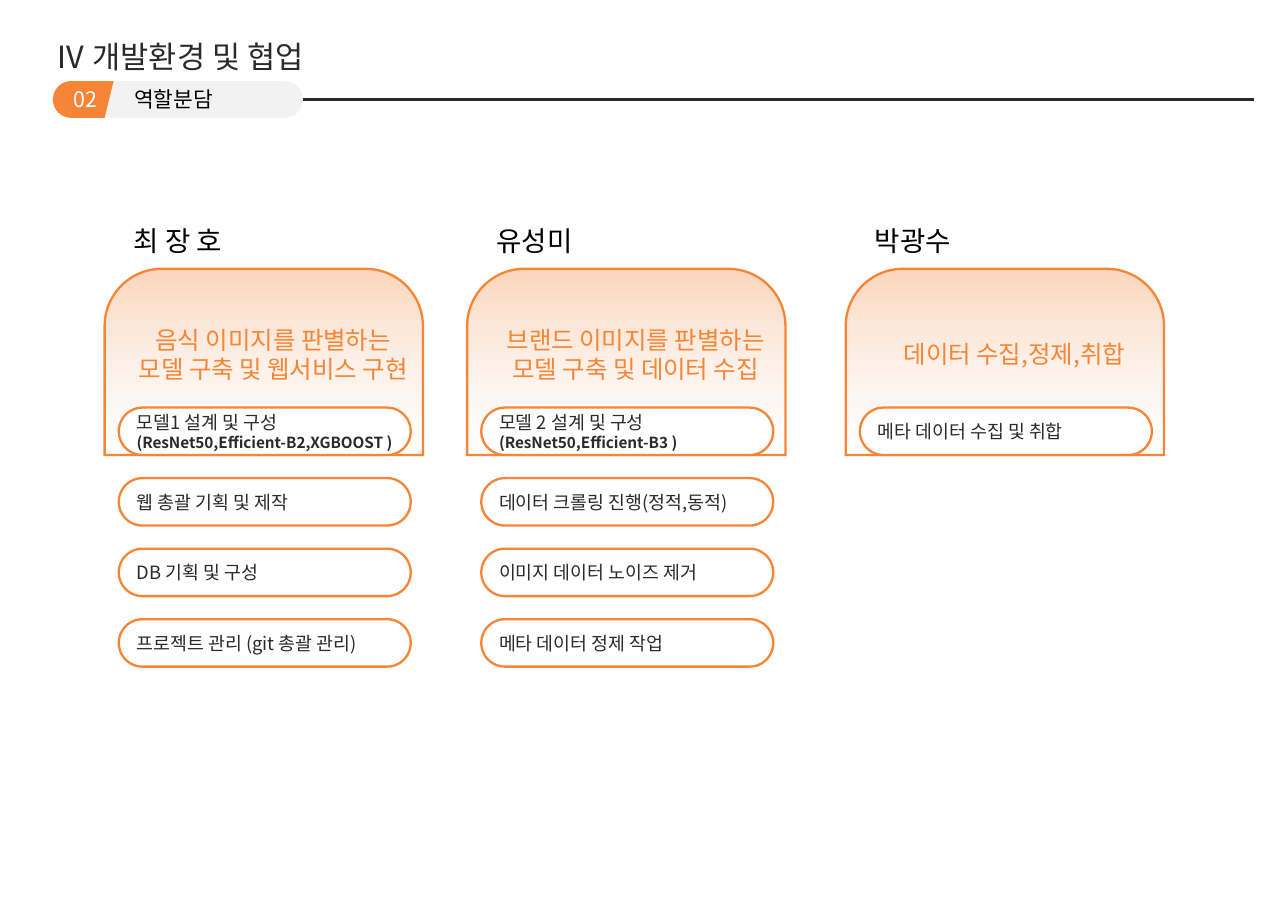
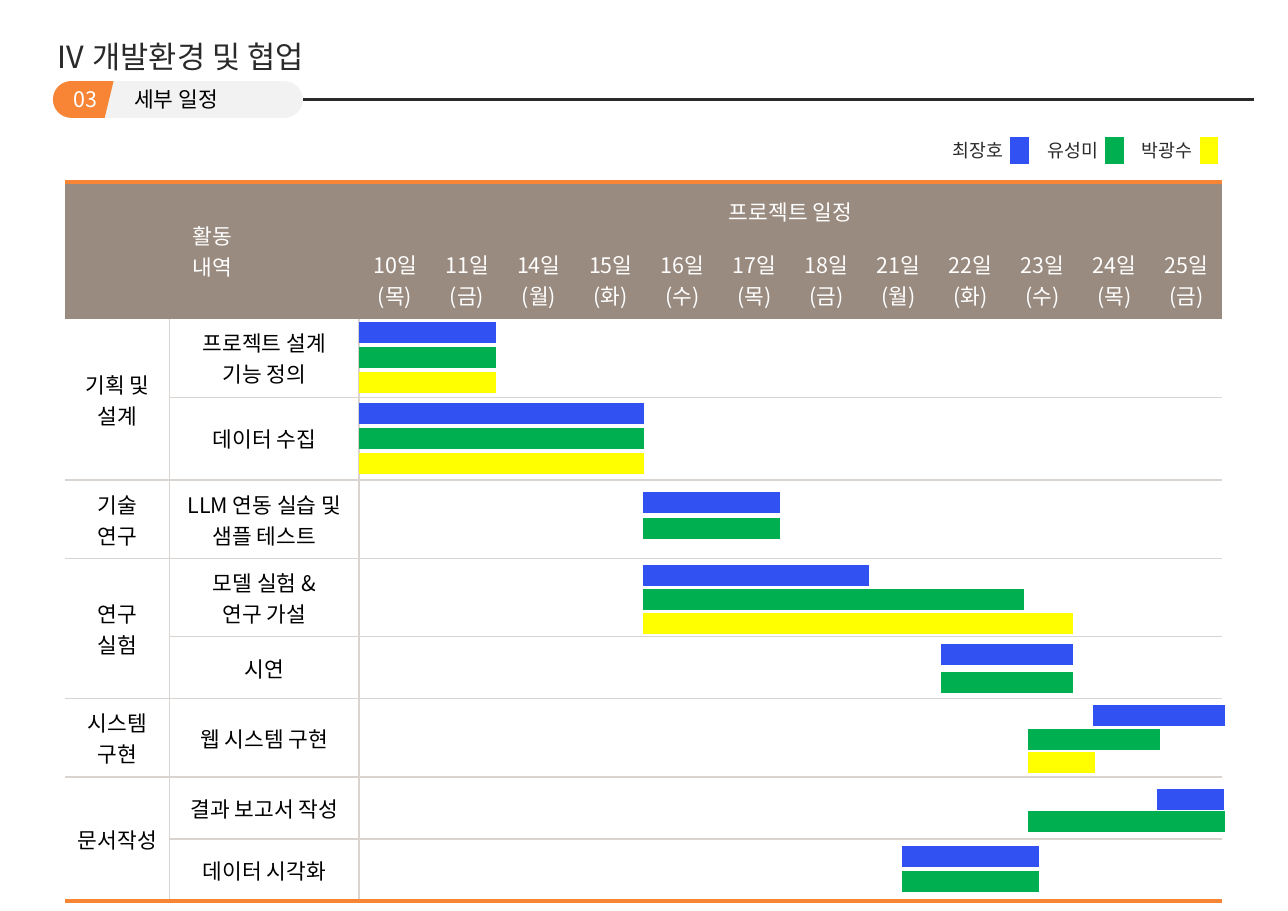
from dataclasses import dataclass
from math import cos, pi, sin

from lxml.etree import SubElement
from pptx import Presentation
from pptx.dml.color import RGBColor as RGB
from pptx.enum.shapes import MSO_CONNECTOR as Connector, MSO_SHAPE as Preset
from pptx.enum.text import MSO_ANCHOR as Anchor, MSO_AUTO_SIZE as AutoSize, PP_ALIGN as Align
from pptx.oxml.ns import qn
from pptx.util import Pt


@dataclass(frozen=True)
class Theme:
    font: str = "Noto Sans CJK KR"
    orange: str = "F78535"
    peach: str = "FCD6BC"
    white: str = "FFFFFF"
    black: str = "000000"
    ink: str = "2A2A2A"
    band: str = "F2F2F2"
    header: str = "9A8B80"
    grid: str = "DAD4D0"
    title: float = 20
    name: float = 18
    role: float = 16
    body: float = 14
    small: float = 12
    note: float = 10
    thin: float = 1
    outline: float = 1.5
    thick: float = 3


THEME = Theme()
PAGE = (841.7, 595.4)
NO_TABLE_STYLE = "{2D5ABB26-0587-4C30-8999-92F81FD0307C}"

# Roles: left edge, name, role lines, tasks (each a list of lines)
MEMBERS = [
    (68.4, "최 장 호", ["음식 이미지를 판별하는", "모델 구축 및 웹서비스 구현"],
     [["모델1 설계 및 구성", "(ResNet50,Efficient-B2,XGBOOST )"], ["웹 총괄 기획 및 제작"],
      ["DB 기획 및 구성"], ["프로젝트 관리 (git 총괄 관리)"]]),
    (305.3, "유성미", ["브랜드 이미지를 판별하는", "모델 구축 및 데이터 수집"],
     [["모델 2 설계 및 구성", "(ResNet50,Efficient-B3 )"], ["데이터 크롤링 진행(정적,동적)"],
      ["이미지 데이터 노이즈 제거"], ["메타 데이터 정제 작업"]]),
    (552.7, "박광수", ["데이터 수집,정제,취합"], [["메타 데이터 수집 및 취합"]]),
]

# Schedule
OWNERS = [("최장호", "3151F3"), ("유성미", "00B050"), ("박광수", "FFFF00")]
DAYS = ["10일(목)", "11일(금)", "14일(월)", "15일(화)", "16일(수)", "17일(목)",
        "18일(금)", "21일(월)", "22일(화)", "23일(수)", "24일(목)", "25일(금)"]
PHASES = [
    (["기획 및 설계"], [["프로젝트 설계", "기능 정의"], ["데이터 수집"]]),
    (["기술 연구"], [["LLM 연동 실습 및 샘플 테스트"]]),
    (["연구 실험"], [["모델 실험 &", "연구 가설"], ["시연"]]),
    (["시스템", "구현"], [["웹 시스템 구현"]]),
    (["문서작성"], [["결과 보고서 작성"], ["데이터 시각화"]]),
]
COLUMNS = [68.4, 123.8] + [47] * len(DAYS)
HEADER_ROWS = [38.4, 51.2]
TASK_ROWS = [51.2, 54.2, 51.2, 51.2, 40.5, 51.2, 40.5, 40.5]
# Per task: first bar offset, bar pitch, then (start, width) in owner order
BARS = [
    (2.6, 16.5, [(0.7, 87.8)] * 3),
    (4.6, 16.3, [(0.7, 185)] * 3),
    (8.8, 16.5, [(186.5, 87.8)] * 2),
    (5.1, 15.8, [(186.5, 146.2), (186.5, 247), (186.5, 279.4)]),
    (5.7, 18, [(380.9, 85)] * 2),
    (4.8, 15.5, [(480.3, 85), (437.8, 85), (437.8, 42.5)]),
    (8.3, 14.4, [(522, 42.5), (437.8, 127.4)]),
    (5.3, 16.5, [(355.7, 87.8)] * 2),
]


def points(*values):
    return [Pt(value) for value in values]


def write_text(frame, lines, size, color, align=Align.LEFT):
    frame.word_wrap = True
    for index, line in enumerate(lines):
        paragraph = frame.add_paragraph() if index else frame.paragraphs[0]
        paragraph.text = line
        paragraph.alignment = align
        font = paragraph.font
        font.size = Pt(size)
        font.color.rgb = RGB.from_string(color)
        font.name = THEME.font
        # East Asian typeface for the Korean text
        defaults = paragraph._p.pPr.find(qn("a:defRPr"))
        SubElement(defaults, qn("a:ea"), typeface=THEME.font)


def add_label(slide, box, lines, size, color, align=Align.LEFT):
    frame = slide.shapes.add_textbox(*points(*box)).text_frame
    frame.vertical_anchor = Anchor.MIDDLE
    write_text(frame, lines, size, color, align)


def paint(shape, fill, line=None):
    shape.shadow.inherit = False
    if fill:
        shape.fill.solid()
        shape.fill.fore_color.rgb = RGB.from_string(fill)
    if line:
        shape.line.color.rgb = RGB.from_string(line)
        shape.line.width = Pt(THEME.outline)
        # Square corners
        SubElement(shape._element.spPr.find(qn("a:ln")), qn("a:miter"), lim="800000")
    else:
        shape.line.fill.background()


def add_preset(slide, preset, box, fill, line=None, adjustment=None):
    shape = slide.shapes.add_shape(preset, *points(*box))
    if adjustment is not None:
        shape.adjustments[0] = adjustment
    paint(shape, fill, line)
    return shape


def add_heading(slide, number, section):
    # Title
    title = slide.shapes.title
    title.left, title.top, title.width, title.height = points(28.8, 21.6, 280.8, 30.2)
    title.text_frame.auto_size = AutoSize.NONE
    title.text_frame.vertical_anchor = Anchor.MIDDLE
    write_text(title.text_frame, ["Ⅳ 개발환경 및 협업"], THEME.title, THEME.ink)

    # Rule
    rule = slide.shapes.add_connector(Connector.STRAIGHT, *points(38.9, 65, 819.4, 65))
    rule.line.color.rgb = RGB.from_string(THEME.ink)
    rule.line.width = Pt(THEME.outline)
    SubElement(rule._element.spPr, qn("a:effectLst"))

    # Section band
    left, top, height = 34.6, 53, 24
    add_preset(slide, Preset.ROUNDED_RECTANGLE, (left, top, 163.4, height), THEME.band,
               adjustment=0.5)
    add_label(slide, (left + 46, top + 0.8, 110.9, 22), [section], THEME.body, THEME.black)

    # Number tab: slanted right side, round left end
    radius, steps = height / 2, 24
    angles = [pi / 2 + pi * step / steps for step in range(steps + 1)]
    outline = [(left + 39.6, top), (left + 33.8, top + height)]
    outline += [(left + radius + radius * cos(a), top + radius + radius * sin(a)) for a in angles]
    start, *rest = [points(*corner) for corner in outline]
    builder = slide.shapes.build_freeform(*start)
    builder.add_line_segments(rest)
    paint(builder.convert_to_shape(), THEME.orange)
    add_label(slide, (left + 3, top + 0.8, 36.7, 22), [number], THEME.body, THEME.white,
              Align.CENTER)


def add_member(slide, left, top, name, role, tasks):
    # Card with a fading fill
    add_label(slide, (left + 12, top - 30.3, 89.3, 23.8), [name], THEME.name, THEME.black)
    card = add_preset(slide, Preset.ROUND_2_SAME_RECTANGLE, (left, top, 208, 121.7), None,
                      THEME.orange, adjustment=0.307)
    card.fill.gradient()
    card.fill.gradient_angle = 270
    for stop, color in zip(card.fill.gradient_stops, (THEME.peach, THEME.white)):
        stop.color.rgb = RGB.from_string(color)
    gradient = card._element.spPr.find(qn("a:gradFill"))
    SubElement(list(gradient.iter(qn("a:srgbClr")))[-1], qn("a:alpha"), val="40000")
    add_label(slide, (left, top + 26.6, 220.3, 58.3), role, THEME.role, THEME.orange,
              Align.CENTER)

    # Task pills
    for index, lines in enumerate(tasks):
        box = (left + 9.2, top + 90.7 + index * 46.1, 190.8, 31)
        pill = add_preset(slide, Preset.ROUNDED_RECTANGLE, box, THEME.white, THEME.orange, 0.5)
        frame = pill.text_frame
        frame.margin_top = frame.margin_bottom = frame.margin_right = 0
        frame.vertical_anchor = Anchor.MIDDLE
        write_text(frame, lines, THEME.small, THEME.ink)
        for note in frame.paragraphs[1:]:
            note.font.size = Pt(THEME.note)
            note.font.bold = True


def add_legend(slide, left, top):
    for index, (owner, color) in enumerate(OWNERS):
        x = left + index * 61.8
        add_preset(slide, Preset.RECTANGLE, (x + 45.5, top, 10.8, 16.6), color, color)
        add_label(slide, (x, top, 56.2, 16.6), [owner], THEME.small, THEME.ink)


def set_borders(cell, edges):
    properties = cell._tc.get_or_add_tcPr()
    for index, side in enumerate("LRTB"):
        color, width = edges.get(side, (None, 0))
        border = SubElement(properties, qn(f"a:ln{side}"), w=str(Pt(width)))
        if color:
            SubElement(SubElement(border, qn("a:solidFill")), qn("a:srgbClr"), val=color)
        else:
            SubElement(border, qn("a:noFill"))
        properties.insert(index, border)


def cell_edges(cell, row, column, phase_rows, row_count):
    grid, accent = (THEME.grid, THEME.thin), (THEME.orange, THEME.thick)
    first_task = len(HEADER_ROWS)
    if row < first_task:
        return {"T": accent} if row == 0 else {}
    below = row + (cell.span_height if cell.is_merge_origin else 1)
    edges = {}
    if column in (1, 2):
        edges["L"] = grid
    if column in (0, 1):
        edges["R"] = grid
    if row > first_task and (column or row in phase_rows):
        edges["T"] = grid
    if below == row_count:
        edges["B"] = accent
    elif column or below in phase_rows:
        edges["B"] = grid
    return edges


def add_schedule_table(slide, left, top):
    heights = HEADER_ROWS + TASK_ROWS
    frame = slide.shapes.add_table(len(heights), len(COLUMNS),
                                   *points(left, top, sum(COLUMNS), sum(heights)))
    table = frame.table
    table.first_row = table.horz_banding = False
    table._tbl.tblPr.find(qn("a:tableStyleId")).text = NO_TABLE_STYLE
    for column, width in zip(table.columns, COLUMNS):
        column.width = Pt(width)
    for row, height in zip(table.rows, heights):
        row.height = Pt(height)

    def fill_cell(row, column, lines, color=THEME.black):
        write_text(table.cell(row, column).text_frame, lines, THEME.body, color, Align.CENTER)

    # Header
    last = len(COLUMNS) - 1
    table.cell(0, 0).merge(table.cell(1, 1))
    table.cell(0, 2).merge(table.cell(0, last))
    fill_cell(0, 0, ["활동", "내역"], THEME.white)
    fill_cell(0, 2, ["프로젝트 일정"], THEME.white)
    for column, day in enumerate(DAYS, 2):
        fill_cell(1, column, [day], THEME.white)

    # Phases and tasks
    phase_rows, row = set(), len(HEADER_ROWS)
    for phase, tasks in PHASES:
        phase_rows.add(row)
        if len(tasks) > 1:
            table.cell(row, 0).merge(table.cell(row + len(tasks) - 1, 0))
        fill_cell(row, 0, phase)
        for task in tasks:
            table.cell(row, 2).merge(table.cell(row, last))
            fill_cell(row, 1, task)
            row += 1

    # Fills and borders
    for row in range(len(heights)):
        for column in range(len(COLUMNS)):
            cell = table.cell(row, column)
            cell.vertical_anchor = Anchor.MIDDLE
            if row < len(HEADER_ROWS):
                cell.fill.solid()
                cell.fill.fore_color.rgb = RGB.from_string(THEME.header)
            else:
                cell.fill.background()
            set_borders(cell, cell_edges(cell, row, column, phase_rows, len(heights)))


def add_schedule_bars(slide, left, top):
    for height, (offset, pitch, spans) in zip(TASK_ROWS, BARS):
        for index, ((start, width), (_, color)) in enumerate(zip(spans, OWNERS)):
            box = (left + start, top + offset + index * pitch, width, 12.2)
            add_preset(slide, Preset.RECTANGLE, box, color, color)
        top += height


def build_roles(slide):
    add_heading(slide, "02", "역할분담")
    for left, name, role, tasks in MEMBERS:
        add_member(slide, left, 175.7, name, role, tasks)


def build_schedule(slide):
    left, top = 42.5, 118.8
    add_heading(slide, "03", "세부 일정")
    add_legend(slide, 615.6, 90)
    add_schedule_table(slide, left, top)
    add_schedule_bars(slide, left + sum(COLUMNS[:2]), top + sum(HEADER_ROWS))


def main():
    presentation = Presentation()
    presentation.slide_width, presentation.slide_height = points(*PAGE)
    title_only = presentation.slide_layouts[5]
    for build in (build_roles, build_schedule):
        build(presentation.slides.add_slide(title_only))
    presentation.save("out.pptx")


if __name__ == "__main__":
    main()
